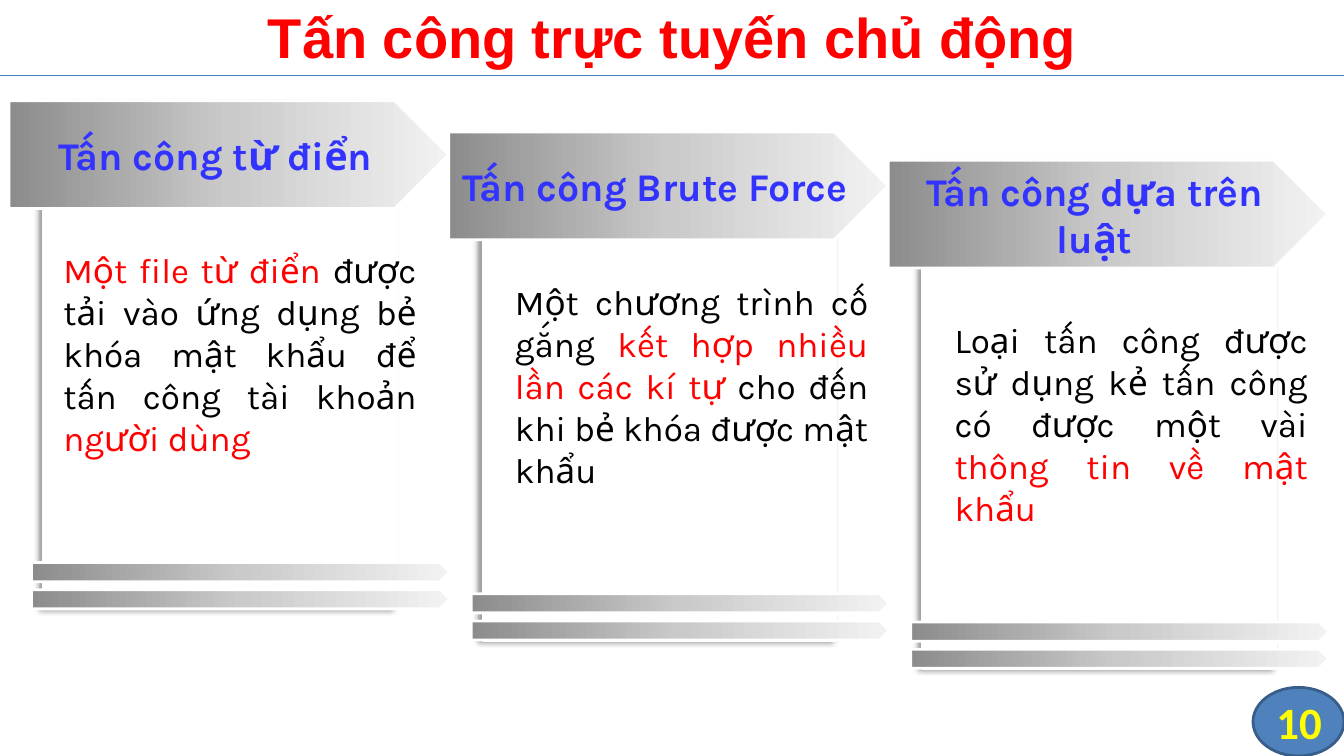
import copy
import pptx
import pptx.dml.color
import pptx.enum.shapes
import pptx.enum.text
import pptx.oxml
import pptx.oxml.ns
import pptx.util
from lxml import etree

Pt = pptx.util.Pt
SHAPES = pptx.enum.shapes.MSO_SHAPE
ALIGN = pptx.enum.text.PP_ALIGN
ANCHOR = pptx.enum.text.MSO_ANCHOR
qn = pptx.oxml.ns.qn

COLORS = {
    "red": "FF0000", "black": "000000", "blue": "3333FF", "yellow": "FFFF00",
    "white": "FFFFFF", "badge": "4F81BD", "badge_line": "395E89", "rule": "4A7DBA",
    "dark": "8C8C8C", "middle": "CACACA", "light": "F2F2F2",
}
GRADIENT = [(0, "dark"), (0.5, "middle"), (1, "light")]


def rgb(name):
    return pptx.dml.color.RGBColor.from_string(COLORS[name])


def write(shape, runs, size, font, bold=False, align=ALIGN.CENTER,
          anchor=ANCHOR.MIDDLE, margins=(7.2, 3.6)):
    """Fill a shape with one paragraph of (text, color) runs."""
    frame = shape.text_frame
    frame.word_wrap = True
    frame.vertical_anchor = anchor
    frame.margin_left = frame.margin_right = Pt(margins[0])
    frame.margin_top = frame.margin_bottom = Pt(margins[1])
    paragraph = frame.paragraphs[0]
    paragraph.alignment = align
    for text, color in runs:
        run = paragraph.add_run()
        run.text = text
        run.font.size = Pt(size)
        run.font.name = font
        run.font.bold = bold
        run.font.color.rgb = rgb(color)


presentation = pptx.Presentation()
presentation.slide_width = Pt(960)
presentation.slide_height = Pt(540)
slide = presentation.slides.add_slide(presentation.slide_layouts[6])
shapes = slide.shapes

# Page number badge
badge = shapes.add_shape(SHAPES.FLOWCHART_CONNECTOR, Pt(895), Pt(491), Pt(65), Pt(49))
badge.shadow.inherit = False
badge.fill.solid()
badge.fill.fore_color.rgb = rgb("badge")
badge.line.color.rgb = rgb("badge_line")
badge.line.width = Pt(2)
number = shapes.add_textbox(Pt(896), Pt(491), Pt(64), Pt(49))
write(number, [("10", "yellow")], 32, "Calibri", bold=True, margins=(0, 0))

# Title and rule
rule = shapes.add_connector(pptx.enum.shapes.MSO_CONNECTOR.STRAIGHT,
                            Pt(0), Pt(54), Pt(960), Pt(54))
rule.line.color.rgb = rgb("rule")
rule.line.width = Pt(0.75)
etree.SubElement(rule._element.spPr, qn("a:effectLst"))
title = shapes.add_textbox(Pt(0), Pt(-2), Pt(960), Pt(56))
write(title, [("Tấn công trực tuyến chủ động", "red")], 40, "Arial", bold=True)

# Cards: heading, card top, body left and top within the card, body height, body runs
cards = [
    ("Tấn công từ điển", 72, 31.7, 102.2, 159, [
        ("Một file từ điển ", "red"),
        ("được tải vào ứng dụng bẻ khóa mật khẩu để tấn công tài khoản ", "black"),
        ("người dùng", "red")]),
    ("Tấn công Brute Force", 94.3, 40.3, 102.2, 159, [
        ("Một chương trình cố gắng ", "black"),
        ("kết hợp nhiều lần các kí tự ", "red"),
        ("cho đến khi bẻ khóa được mật khẩu", "black")]),
    ("Tấn công dựa trên luật", 114.5, 40.3, 109.4, 128, [
        ("Loại tấn công được sử dụng kẻ tấn công có được một vài ", "black"),
        ("thông tin về mật khẩu", "red")]),
]

for index, (heading, top, body_left, body_top, body_height, body_runs) in enumerate(cards):
    left = 6.5 + 314 * index

    # White panel with a soft shadow on its left
    panel = shapes.add_shape(SHAPES.RECTANGLE, Pt(left + 24.5), Pt(top + 3), Pt(252), Pt(360))
    panel.fill.solid()
    panel.fill.fore_color.rgb = rgb("white")
    panel.line.color.rgb = rgb("white")
    panel.line.width = Pt(2)
    panel.shadow.inherit = False
    effects = panel._element.spPr.find(qn("a:effectLst"))
    shadow = etree.SubElement(effects, qn("a:outerShdw"), blurRad=str(Pt(4)),
                              dist=str(Pt(3)), dir="10800000", rotWithShape="0")
    shadow_color = etree.SubElement(shadow, qn("a:srgbClr"), val=COLORS["black"])
    etree.SubElement(shadow_color, qn("a:alpha"), val="40000")

    # Heading arrow and the two thin bars at the foot
    arrows = [(0, 0, 314, 77, heading), (16, 329.8, 298.8, 13.7, None),
              (16, 349.2, 298.8, 13.7, None)]
    for x, y, width, height, text in arrows:
        arrow = shapes.add_shape(SHAPES.PENTAGON, Pt(left + x), Pt(top + y),
                                 Pt(width), Pt(height))
        arrow.shadow.inherit = False
        arrow.line.color.rgb = rgb("white")
        arrow.line.width = Pt(2)
        arrow.fill.gradient()
        arrow.fill.gradient_angle = 0
        stop_list = arrow._element.spPr.find(".//" + qn("a:gsLst"))
        stop_list.append(copy.deepcopy(stop_list[0]))
        for stop, (position, color) in zip(arrow.fill.gradient_stops, GRADIENT):
            stop.position = position
            stop.color.rgb = rgb(color)
        if text:
            write(arrow, [(text, "blue")], 28, "Karla", bold=True)

    # Description
    body = shapes.add_textbox(Pt(left + body_left), Pt(top + body_top),
                              Pt(266.4), Pt(body_height))
    write(body, body_runs, 25, "Karla", align=ALIGN.JUSTIFY, anchor=ANCHOR.TOP)
    body.text_frame.auto_size = pptx.enum.text.MSO_AUTO_SIZE.SHAPE_TO_FIT_TEXT

presentation.save("out.pptx")
